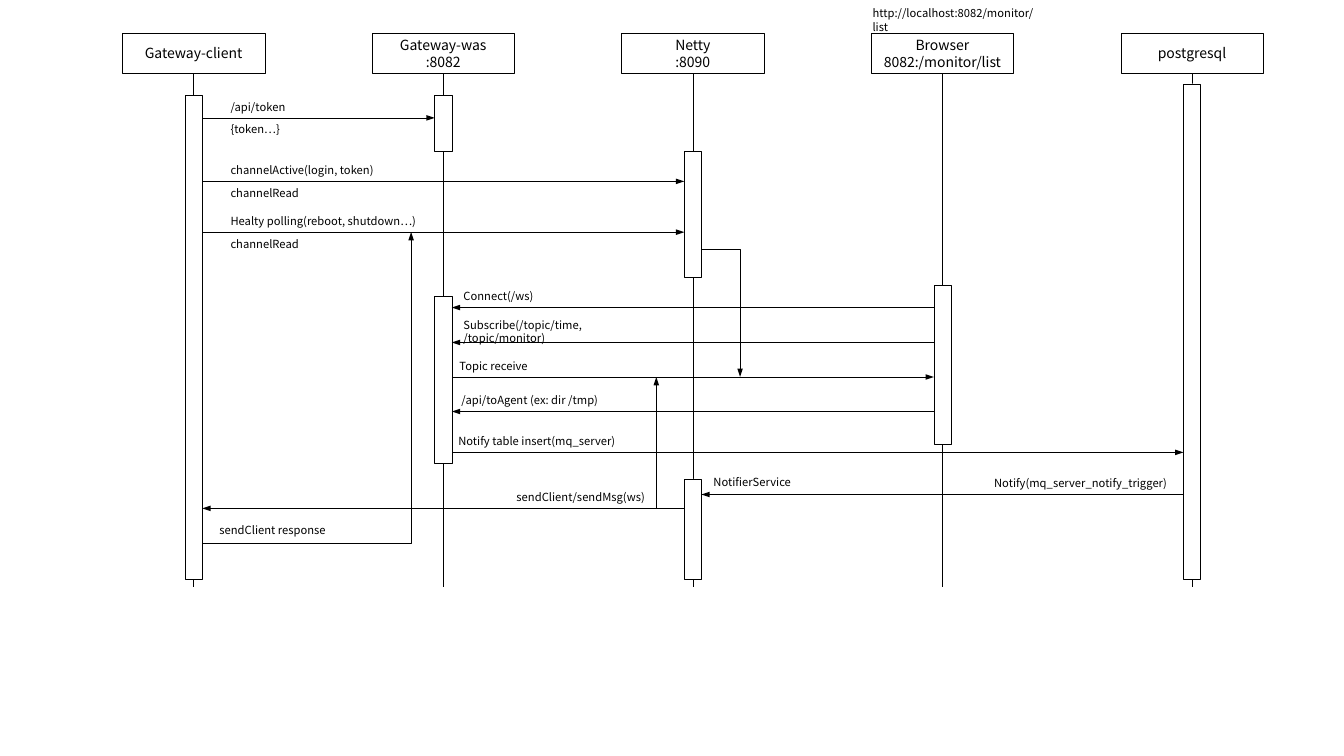
from lxml.etree import SubElement
from pptx import Presentation
from pptx.dml.color import RGBColor
from pptx.enum.lang import MSO_LANGUAGE_ID
from pptx.enum.shapes import MSO_CONNECTOR, MSO_SHAPE
from pptx.enum.text import MSO_ANCHOR, PP_ALIGN
from pptx.oxml.ns import qn
from pptx.util import Cm, Pt

COLORS = {"ink": "000000", "paper": "FFFFFF"}
INK, PAPER = (RGBColor.from_string(COLORS[k]) for k in ("ink", "paper"))
FONT = {"name": "Noto Sans CJK KR", "language_id": MSO_LANGUAGE_ID.KOREAN}
LEFT, CENTER, RIGHT = PP_ALIGN.LEFT, PP_ALIGN.CENTER, PP_ALIGN.RIGHT

prs = Presentation()
prs.slide_width, prs.slide_height = Cm(33.87), Cm(19.05)
s = prs.slides.add_slide(prs.slide_layouts[6])


def add_box(x, y, w, h, text="", size=8, align=LEFT, outlined=False):
    """Add a white rectangle, with its text centred vertically."""
    sp = s.shapes.add_shape(MSO_SHAPE.RECTANGLE, Cm(x), Cm(y), Cm(w), Cm(h))
    sp.shadow.inherit = False
    sp.fill.solid()
    sp.fill.fore_color.rgb = PAPER
    if outlined:
        sp.line.color.rgb = INK
        sp.line.width = Pt(0.25)
    else:
        sp.line.fill.background()
    tf = sp.text_frame
    tf.word_wrap = True
    tf.vertical_anchor = MSO_ANCHOR.MIDDLE
    tf.text = text
    for p in tf.paragraphs:
        p.alignment = align
        for r in p.runs:
            for name, value in {**FONT, "size": Pt(size)}.items():
                setattr(r.font, name, value)
            r.font.color.rgb = INK


def add_line(x1, y1, x2, y2, arrow=True, kind=MSO_CONNECTOR.STRAIGHT):
    cxn = s.shapes.add_connector(kind, Cm(x1), Cm(y1), Cm(x2), Cm(y2))
    cxn.line.color.rgb = INK
    cxn.line.width = Pt(0.25)
    if arrow:
        ln = cxn.line._get_or_add_ln()
        SubElement(ln, qn("a:tailEnd"), type="triangle", w="sm", len="med")
    SubElement(cxn._element.spPr, qn("a:effectLst"))
    return cxn


CLIENT, WAS, NETTY, BROWSER, DB = axes = [4.88 + 6.29 * i for i in range(5)]
HEAD_W, HEAD_TOP, HEAD_H = 3.59, 0.84, 1.01
BAR_W = 0.43
LABEL_H = 0.56

# Messages: sender, receiver, height, label left, label width, label, alignment
messages = [
    (CLIENT, WAS, 2.97, 5.56, 5.2, "/api/token", LEFT),
    (CLIENT, NETTY, 4.57, 5.56, 5.2, "channelActive(login, token)", LEFT),
    (CLIENT, NETTY, 5.85, 5.56, 5.2, "Healty polling(reboot, shutdown…)", LEFT),
    (BROWSER, WAS, 7.75, 11.43, 5.41, "Connect(/ws)", LEFT),
    (BROWSER, WAS, 8.63, 11.43, 5.41, "Subscribe(/topic/time, /topic/monitor)", LEFT),
    (WAS, BROWSER, 9.5, 11.33, 5.41, "Topic receive", LEFT),
    (BROWSER, WAS, 10.37, 11.38, 4.93, "/api/toAgent (ex: dir /tmp)", LEFT),
    (WAS, DB, 11.4, 11.3, 5.2, "Notify table insert(mq_server)", LEFT),
    (DB, NETTY, 12.46, 24.26, 5.41, "Notify(mq_server_notify_trigger)", RIGHT),
    (NETTY, CLIENT, 12.81, 11.73, 4.78, "sendClient/sendMsg(ws)", RIGHT),
]

# The white labels lie at the back, so that they hide no bar or arrow
for sender, receiver, y, x, w, text, align in messages:
    add_box(x, y - LABEL_H, w, LABEL_H, text, align=align)

# Labels that do not sit on top of an arrow
for x, y, w, h, text in [
    (5.56, 2.97, 5.2, LABEL_H, "{token…}"),
    (5.56, 4.59, 3.68, LABEL_H, "channelRead"),
    (5.56, 5.87, 5.2, LABEL_H, "channelRead"),
    (17.73, 11.86, 5.41, LABEL_H, "NotifierService"),
    (5.28, 13.08, 5.2, LABEL_H, "sendClient response"),
    (21.74, 0.2, 4.78, 0.61, "http://localhost:8082/monitor/list"),
]:
    add_box(x, y, w, h, text)

# Participants: title and the top and bottom of each activation
participants = [
    ("Gateway-client", [(2.41, 14.6)]),
    ("Gateway-was\n:8082", [(2.41, 3.81), (7.47, 11.68)]),
    ("Netty\n:8090", [(3.81, 6.99), (12.07, 14.6)]),
    ("Browser\n8082:/monitor/list", [(7.19, 11.2)]),
    ("postgresql", [(2.11, 14.6)]),
]
for axis, (title, bars) in zip(axes, participants):
    add_box(axis - HEAD_W / 2, HEAD_TOP, HEAD_W, HEAD_H, title, 10, CENTER, True)
    add_line(axis, HEAD_TOP + HEAD_H, axis, 14.8, arrow=False)
    for top, bottom in bars:
        add_box(axis - BAR_W / 2, top, BAR_W, bottom - top, outlined=True)

for sender, receiver, y, *_ in messages:
    edge = BAR_W / 2 if receiver > sender else -BAR_W / 2
    add_line(sender + edge, y, receiver - edge, y)

add_line(16.54, 12.81, 16.54, 9.5)

# Elbows that leave sideways and arrive vertically: a quarter turn each way
for x1, y1, x2, y2, turn, bend in [
    (CLIENT + BAR_W / 2, 13.74, 10.36, 5.85, 1, 800),
    (NETTY + BAR_W / 2, 6.07, 18.65, 9.5, -1, 6300),
]:
    cx, cy = (x1 + x2) / 2, (y1 + y2) / 2
    dx, dy = turn * (y1 - cy), turn * (cx - x1)
    cxn = add_line(cx + dx, cy + dy, cx - dx, cy - dy, kind=MSO_CONNECTOR.ELBOW)
    spPr = cxn._element.spPr
    spPr.find(qn("a:xfrm")).set("rot", str(turn % 4 * 5400000))
    guides = spPr.find(qn("a:prstGeom")).get_or_add_avLst()
    SubElement(guides, qn("a:gd"), name="adj1", fmla=f"val {bend}")

prs.save("out.pptx")
